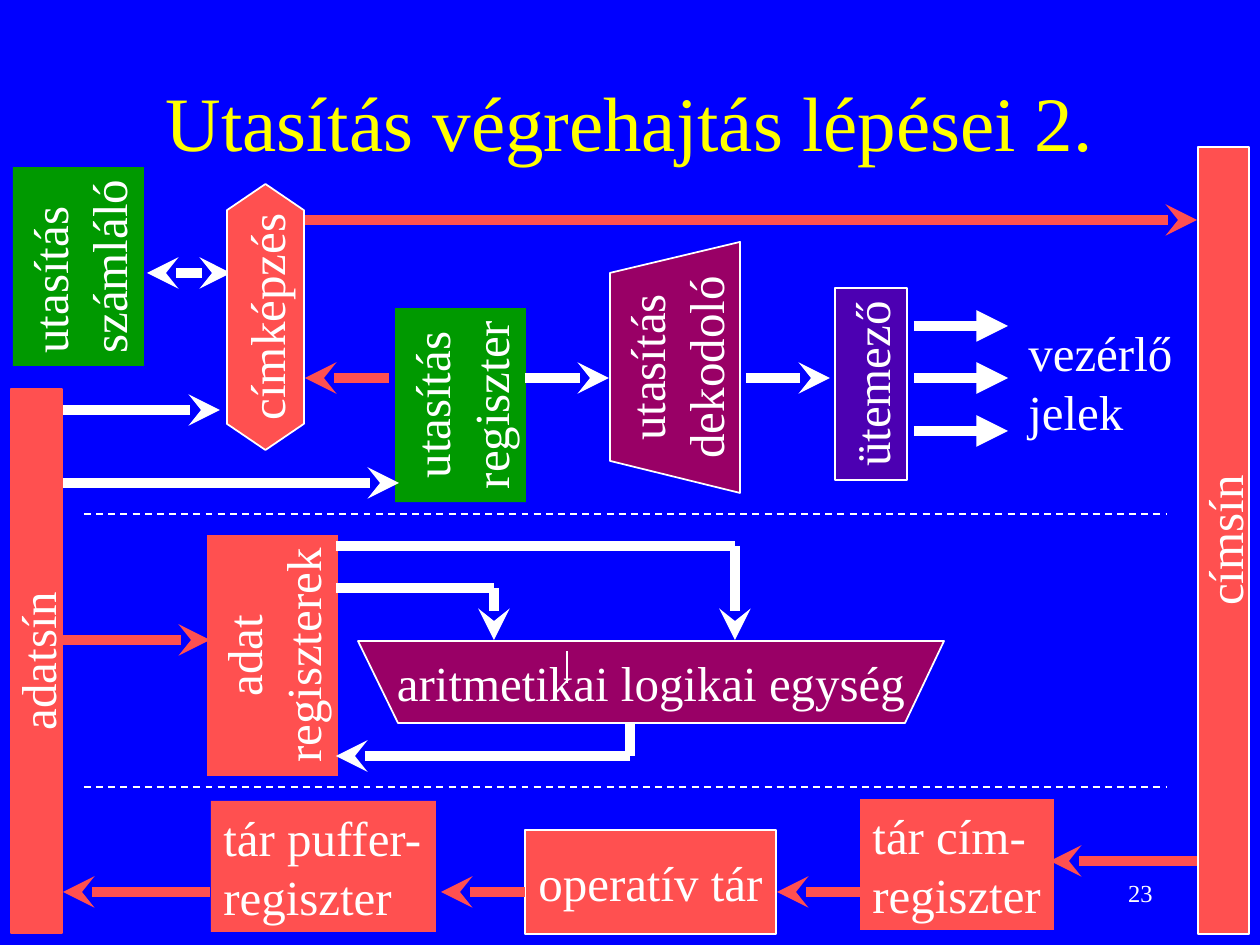
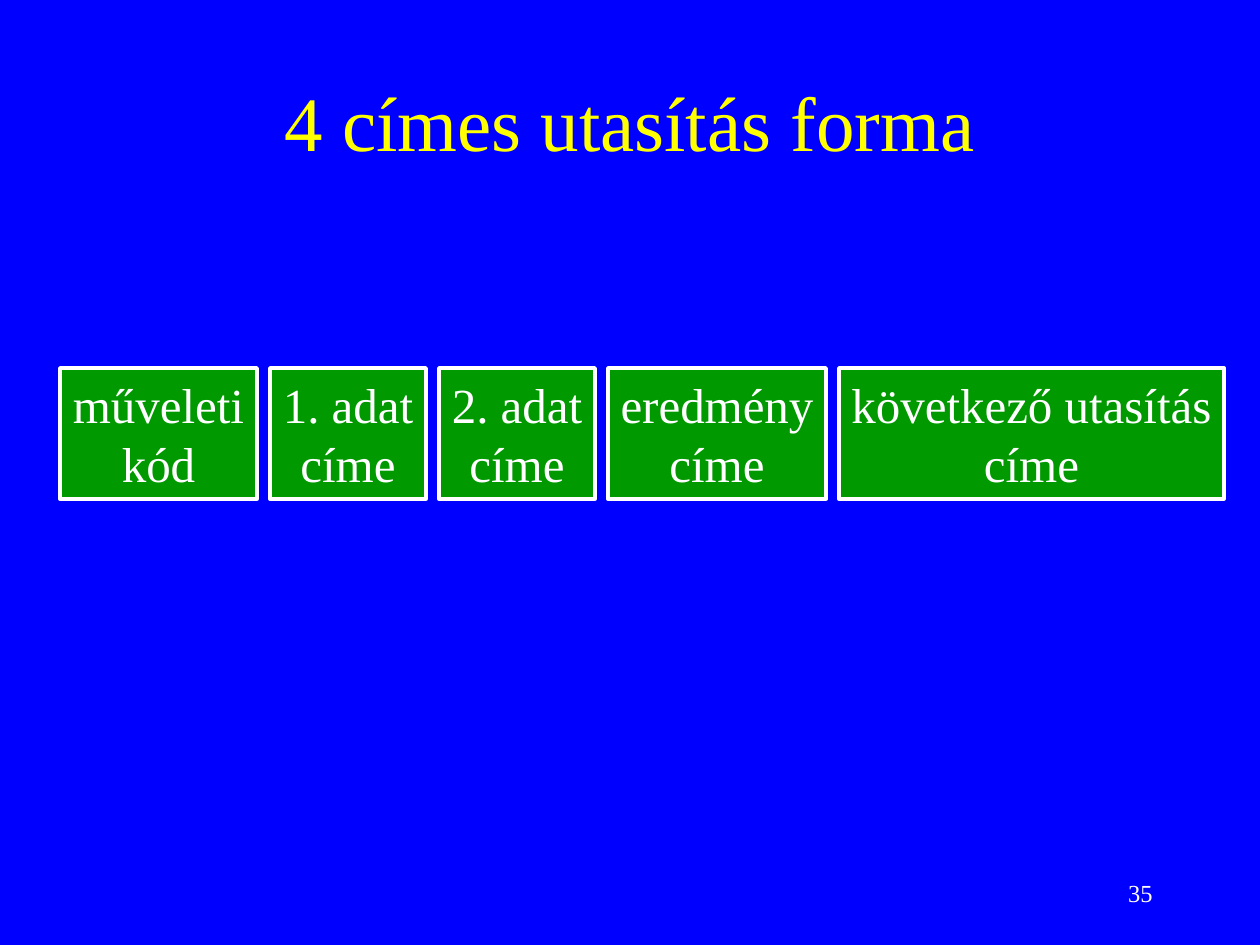
from dataclasses import dataclass
from typing import Any

from lxml import etree
from pptx import Presentation
from pptx import util as u
from pptx.dml.color import RGBColor
from pptx.enum import dml, shapes, text
from pptx.oxml import ns

SCALE = 914400 / 126
FONT = "Times New Roman"
HUES = {
    "back": "0000FF",
    "title": "FFFF00",
    "white": "FFFFFF",
    "green": "009900",
    "red": "FF5050",
    "plum": "990066",
}
LEFT, MID, RIGHT = text.PP_ALIGN.LEFT, text.PP_ALIGN.CENTER, text.PP_ALIGN.RIGHT
RECT = shapes.MSO_SHAPE.RECTANGLE
HEX = shapes.MSO_SHAPE.HEXAGON


def px(n):
    return u.Emu(round(n * SCALE))


def hue(name):
    return RGBColor.from_string(HUES[name])


def write(shape, words, size=28, color="white", align=MID, center=True, wrap=False):
    frame = shape.text_frame
    frame.text = words
    frame.word_wrap = wrap
    frame.vertical_anchor = text.MSO_ANCHOR.MIDDLE if center else text.MSO_ANCHOR.TOP
    for para in frame.paragraphs:
        para.alignment = align
        para.font.name = FONT
        para.font.size = u.Pt(size)
        para.font.color.rgb = hue(color)


def paint(shape, fill, edge=None, width=1):
    shape.shadow.inherit = False
    shape.fill.solid()
    shape.fill.fore_color.rgb = hue(fill)
    if edge:
        shape.line.color.rgb = hue(edge)
        shape.line.width = u.Pt(width)
    else:
        shape.line.fill.background()


@dataclass
class Area:
    slide: Any
    left: int
    top: int

    def label(self, x, y, w, h, words, **style):
        note = self.slide.shapes.add_textbox(
            px(self.left + x), px(self.top + y), px(w), px(h))
        write(note, words, **style)

    def block(self, x, y, w, h, words, fill, edge=None, width=1,
              kind=RECT, turn=False, **style):
        if turn:
            x, y, w, h = x + (w - h) / 2, y + (h - w) / 2, h, w
        shape = self.slide.shapes.add_shape(
            kind, px(self.left + x), px(self.top + y), px(w), px(h))
        shape.rotation = 270 if turn else 0
        paint(shape, fill, edge, width)
        write(shape, words, **style)
        return shape

    def poly(self, dots, words, turn=False):
        dots = [(px(self.left + x), px(self.top + y)) for x, y in dots]
        form = self.slide.shapes.build_freeform(*dots[0])
        form.add_line_segments(dots[1:], close=True)
        shape = form.convert_to_shape()
        paint(shape, "plum", "white")
        write(shape, words)
        if turn:
            shape.element.txBody.bodyPr.set("vert", "vert270")

    def line(self, x1, y1, x2, y2, color="white", width=6,
             head=None, tail=None, dash=False):
        link = self.slide.shapes.add_connector(
            shapes.MSO_CONNECTOR.STRAIGHT,
            px(self.left + x1), px(self.top + y1),
            px(self.left + x2), px(self.top + y2))
        link.line.color.rgb = hue(color)
        link.line.width = u.Pt(width)
        if dash:
            link.line.dash_style = dml.MSO_LINE.DASH
        props = link.element.spPr
        for tag, kind in (("a:headEnd", head), ("a:tailEnd", tail)):
            if kind:
                etree.SubElement(props.get_or_add_ln(), ns.qn(tag), type=kind)
        etree.SubElement(props, ns.qn("a:effectLst"))

    def arrow(self, *ends, **style):
        self.line(*ends, **{"tail": "stealth", **style})

    def split(self, y):
        self.line(84, y, 1166, y, width=1, dash=True)


def page(deck, title, number):
    slide = deck.slides.add_slide(deck.slide_layouts[6])
    slide.background.fill.solid()
    slide.background.fill.fore_color.rgb = hue("back")
    area = Area(slide, 0, 0)
    area.label(94, 42, 1072, 158, title, size=44, color="title", wrap=True)
    area.label(903, 861, 262, 63, number, size=14, align=RIGHT, wrap=True)
    return slide


def buses(area):
    area.block(1187, 0, 51, 787, "címsín", "red", "white", turn=True)
    area.block(0, 242, 51, 544, "adatsín", "red", "red", turn=True)


def control(area):
    area.block(13, 20, 131, 199, "utasítás\nszámláló", "green",
               turn=True, align=LEFT, center=False)
    area.block(395, 161, 131, 194, "utasítás\nregiszter", "green",
               turn=True, center=False)
    timer = area.block(835, 141, 72, 192, "ütemező", "plum", "white",
                       turn=True, center=False)
    tint = timer.element.spPr.find(ns.qn("a:solidFill"))[0]
    etree.SubElement(tint, ns.qn("a:alpha"), val="50000")
    area.poly([(740, 346), (740, 95), (610, 126), (610, 314)],
              "utasítás\ndekodoló", turn=True)
    area.label(1016, 169, 169, 131, "vezérlő\njelek", align=LEFT, center=False)

    for y in (179, 231, 284):
        area.arrow(914, y, 1008, y, tail="triangle")
    area.arrow(525, 231, 609, 231)
    area.arrow(746, 231, 830, 231)
    area.arrow(63, 336, 399, 336)
    area.arrow(63, 263, 220, 263)
    area.arrow(389, 231, 305, 231, color="red")
    area.arrow(305, 73, 1197, 73, color="red")
    area.arrow(231, 126, 147, 126, head="stealth")
    former = area.block(227, 37, 77, 266, "címképzés", "red", "white",
                        kind=HEX, turn=True)
    former.adjustments[0] = 0.34
    area.split(367)


def compute(area):
    area.block(207, 21, 131, 241, "adat\nregiszterek", "red",
               turn=True, center=False)
    area.poly([(358, 127), (944, 127), (905, 209), (398, 209)],
              "aritmetikai logikai egység")
    area.line(567, 137, 567, 169, width=1)
    for x, y in ((735, 32), (494, 74)):
        area.line(336, y, x, y)
        area.arrow(x, y, x, 126)
    area.line(630, 210, 630, 242)
    area.arrow(630, 242, 336, 242)
    area.arrow(63, 126, 210, 126, color="red")
    area.split(273)


def store(area):
    area.block(211, 14, 225, 131, "tár puffer-\nregiszter", "red",
               align=LEFT, center=False)
    area.block(860, 12, 194, 131, "tár cím-\nregiszter", "red",
               align=LEFT, center=False)
    area.block(525, 43, 251, 104, "operatív tár", "red", "white")
    for x1, x2, y in ((1197, 1050, 74), (860, 777, 105),
                      (525, 441, 105), (210, 63, 105)):
        area.arrow(x1, y, x2, y, color="red")


def fields(area):
    x, gap = 0, 13
    for words, wide in (("műveleti\nkód", 197), ("1. adat\ncíme", 156),
                        ("2. adat\ncíme", 156), ("eredmény\ncíme", 218),
                        ("következő utasítás\ncíme", 385)):
        area.block(x, 0, wide, 131, words, "green", "white", 2, center=False)
        x += wide + gap


def main():
    deck = Presentation()
    deck.slide_width, deck.slide_height = px(1260), px(945)
    steps = page(deck, "Utasítás végrehajtás lépései 2.", "23")
    buses(Area(steps, 11, 147))
    control(Area(steps, 0, 147))
    compute(Area(steps, 0, 514))
    store(Area(steps, 0, 787))
    form = page(deck, "4 címes utasítás forma", "35")
    fields(Area(form, 60, 368))
    deck.save("out.pptx")


if __name__ == "__main__":
    main()
